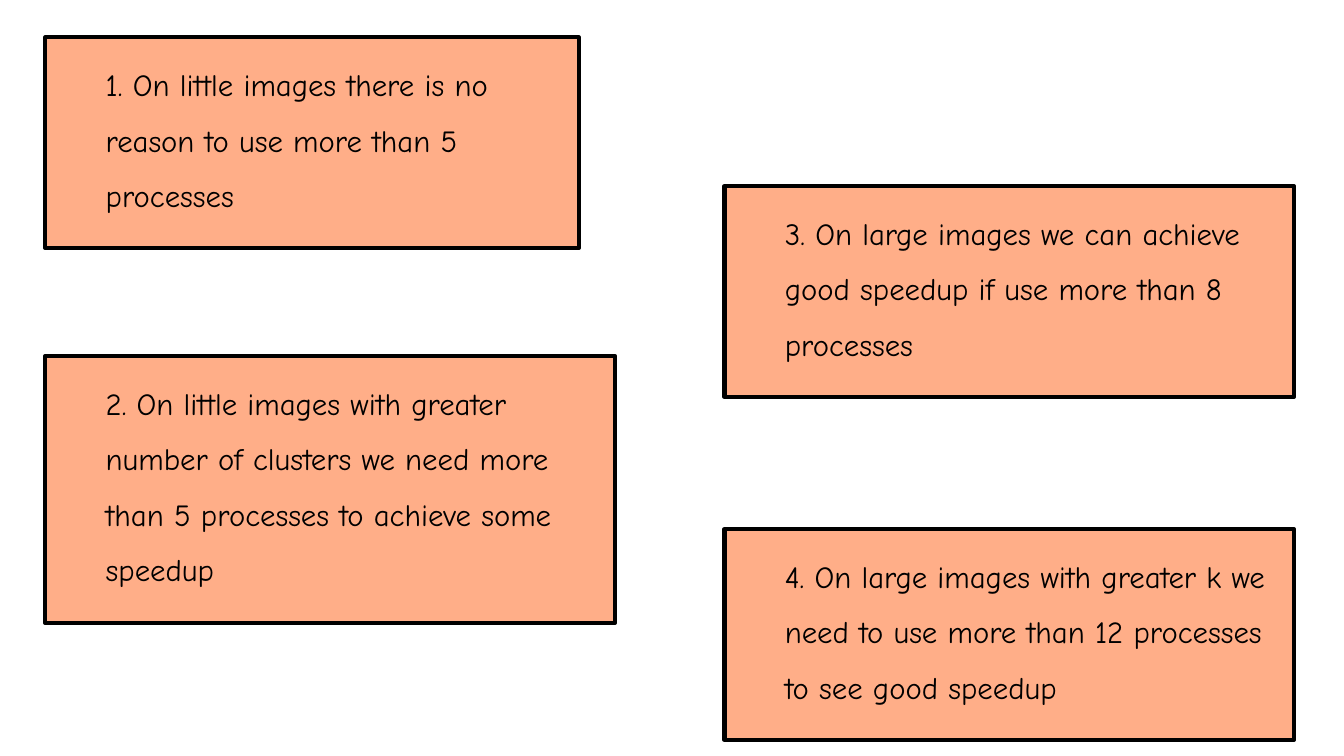
from dataclasses import dataclass

import pptx
import pptx.dml.color
import pptx.enum.shapes
import pptx.enum.text
import pptx.util

Pt = pptx.util.Pt
RGB = pptx.dml.color.RGBColor


@dataclass(frozen=True)
class Theme:
    fill: RGB = RGB(0xFF, 0xAE, 0x88)
    ink: RGB = RGB(0, 0, 0)
    font: str = "Comic Neue"
    size: float = 22
    border: float = 3
    inset: float = 7.2


@dataclass(frozen=True)
class Conclusion:
    text: str
    left: float
    top: float
    width: float
    height: float


THEME = Theme()
LEFT, RIGHT = 32.4, 517.5
WIDE = 406.8
SHORT = 150.5

CONCLUSIONS = [
    Conclusion("1. On little images there is no reason to use more than 5 processes",
               LEFT, 26.7, 381, SHORT),
    Conclusion("2. On little images with greater number of clusters we need more "
               "than 5 processes to achieve some speedup",
               LEFT, 254.2, WIDE, 190.8),
    Conclusion("3. On large images we can achieve good speedup if use more than 8 processes",
               RIGHT, 133, WIDE, SHORT),
    Conclusion("4. On large images with greater k we need to use more than 12 "
               "processes to see good speedup",
               RIGHT, 378, WIDE, SHORT),
]


def write_text(tf, text: str, *, size: float, font: str, color: RGB,
               indent: float, spacing: float, after: float) -> None:
    p = tf.paragraphs[0]
    p.alignment = pptx.enum.text.PP_ALIGN.LEFT
    p.line_spacing = spacing
    p.space_before = Pt(0)
    p.space_after = Pt(after)
    pPr = p._p.get_or_add_pPr()
    pPr.set("marL", str(Pt(indent)))
    pPr.set("indent", "0")
    r = p.add_run()
    r.text = text
    r.font.size = Pt(size)
    r.font.name = font
    r.font.color.rgb = color


def add_conclusion(s, item: Conclusion) -> None:
    sp = s.shapes.add_shape(
        pptx.enum.shapes.MSO_SHAPE.RECTANGLE,
        Pt(item.left), Pt(item.top), Pt(item.width), Pt(item.height))
    sp.shadow.inherit = False
    sp.fill.solid()
    sp.fill.fore_color.rgb = THEME.fill
    sp.line.color.rgb = THEME.ink
    sp.line.width = Pt(THEME.border)
    tf = sp.text_frame
    tf.word_wrap = True
    tf.vertical_anchor = pptx.enum.text.MSO_ANCHOR.TOP
    tf.margin_left = tf.margin_right = Pt(THEME.inset)
    tf.margin_top = tf.margin_bottom = Pt(THEME.inset)
    write_text(tf, item.text, size=THEME.size, font=THEME.font, color=THEME.ink,
               indent=36, spacing=1.5, after=8)


def main() -> None:
    prs = pptx.Presentation()
    prs.slide_width, prs.slide_height = Pt(960), Pt(540)
    s = prs.slides.add_slide(prs.slide_layouts[6])
    for item in CONCLUSIONS:
        add_conclusion(s, item)
    prs.save("out.pptx")


if __name__ == "__main__":
    main()
